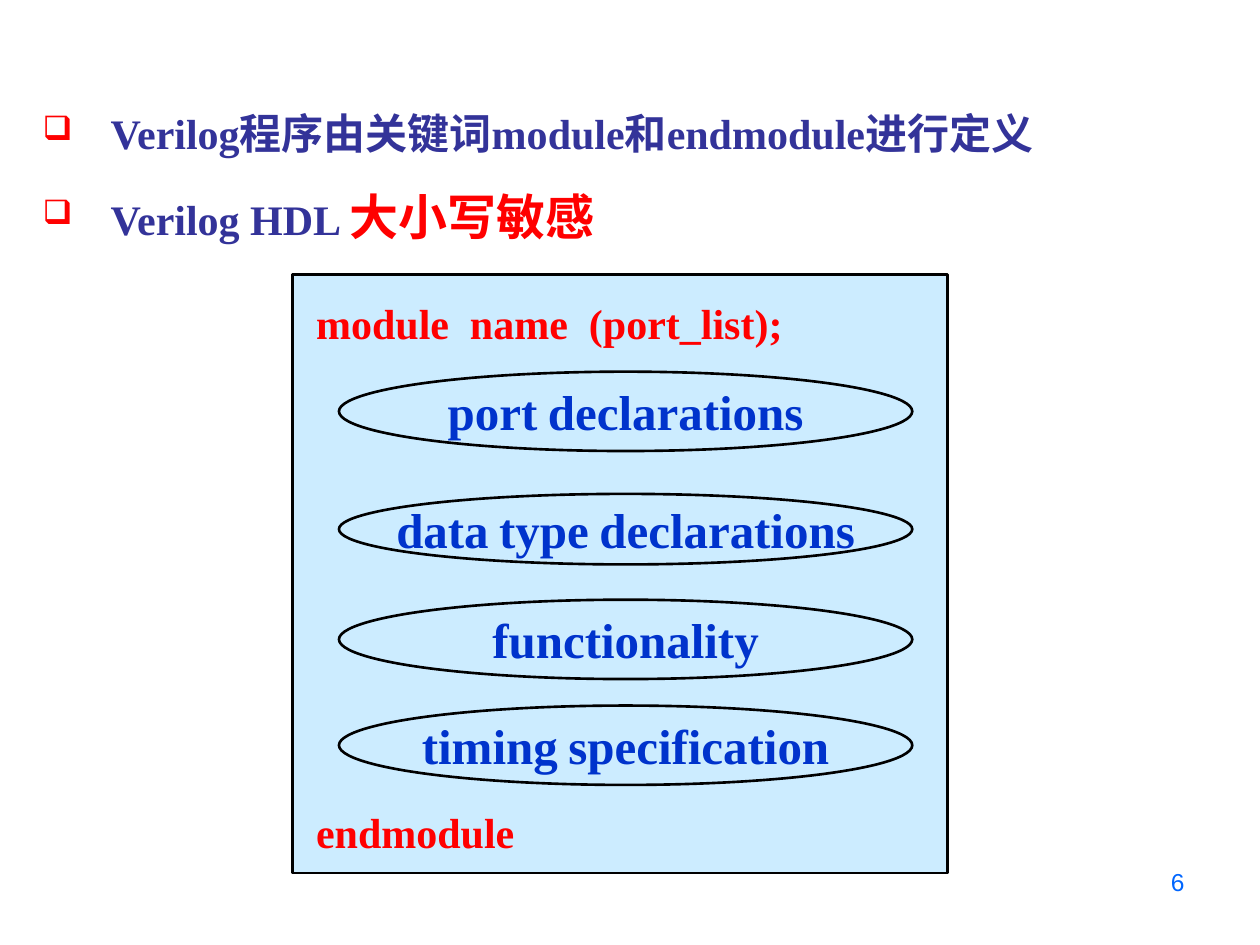
from lxml import etree
from pptx import Presentation
from pptx.dml.color import RGBColor
from pptx.enum import shapes, text
from pptx.oxml.ns import qn
from pptx.util import Inches, Pt

COLORS = {
    "panel": "CCECFF",
    "outline": "000000",
    "body": "333399",
    "accent": "FF0000",
    "part": "0033CC",
    "number": "0066FF",
}
SERIF = "Times New Roman"
ALIGN = text.PP_ALIGN

BULLETS = [
    [("Verilog程序由关键词module和endmodule进行定义", 24, "body")],
    [("Verilog HDL ", 24, "body"), ("大小写敏感", 28, "accent")],
]
# label, top, height
PARTS = [
    ("port declarations", 2.95, 0.63),
    ("data type declarations", 3.92, 0.56),
    ("functionality", 4.76, 0.63),
    ("timing specification", 5.6, 0.63),
]


def rgb(name):
    return RGBColor.from_string(COLORS[name])


def add_run(p, words, size, color, font=SERIF, bold=True):
    r = p.add_run()
    r.text = words
    values = {"name": font, "size": Pt(size), "bold": bold}
    for key, value in values.items():
        setattr(r.font, key, value)
    r.font.color.rgb = rgb(color)


def add_bullet(p):
    """Give the paragraph a hanging red box as its bullet."""
    pPr = p._p.get_or_add_pPr()
    pPr.set("marL", str(Inches(0.54)))
    pPr.set("indent", str(-Inches(0.54)))
    color = etree.SubElement(pPr, qn("a:buClr"))
    etree.SubElement(color, qn("a:srgbClr"), val=COLORS["accent"])
    etree.SubElement(pPr, qn("a:buSzPct"), val="80000")
    etree.SubElement(pPr, qn("a:buChar"), char="❑")


def add_text_box(slide, box):
    tf = slide.shapes.add_textbox(*map(Inches, box)).text_frame
    tf.word_wrap = True
    return tf


def add_bullet_list(slide, box):
    tf = add_text_box(slide, box)
    for i, runs in enumerate(BULLETS):
        p = tf.add_paragraph() if i else tf.paragraphs[0]
        p.line_spacing = 1.5
        p.alignment = ALIGN.JUSTIFY
        add_bullet(p)
        for run in runs:
            add_run(p, *run)


def add_panel_shape(group, kind, box, outlined=True):
    s = group.shapes.add_shape(kind, *map(Inches, box))
    s.shadow.inherit = False
    s.fill.solid()
    s.fill.fore_color.rgb = rgb("panel")
    if outlined:
        s.line.color.rgb = rgb("outline")
        s.line.width = Pt(1.5)
    else:
        s.line.fill.background()
    return s


def add_part(group, label, top, height):
    """Draw an ellipse whose words are larger than the spaces between them."""
    s = add_panel_shape(group, shapes.MSO_SHAPE.OVAL, (2.69, top, 4.55, height))
    tf = s.text_frame
    tf.word_wrap = False
    tf.vertical_anchor = text.MSO_ANCHOR.MIDDLE
    p = tf.paragraphs[0]
    p.alignment = ALIGN.CENTER
    for i, word in enumerate(label.split()):
        if i:
            add_run(p, " ", 24, "body")
        add_run(p, word, 28, "part")


def add_keyword_line(group, words, box):
    s = add_panel_shape(group, shapes.MSO_SHAPE.RECTANGLE, box, outlined=False)
    tf = s.text_frame
    tf.word_wrap = True
    tf.auto_size = text.MSO_AUTO_SIZE.SHAPE_TO_FIT_TEXT
    tf.vertical_anchor = text.MSO_ANCHOR.TOP
    p = tf.paragraphs[0]
    p.alignment = ALIGN.LEFT
    add_run(p, words, 24, "accent")


def add_module_diagram(slide):
    group = slide.shapes.add_group_shape()
    add_panel_shape(group, shapes.MSO_SHAPE.RECTANGLE, (2.32, 2.18, 5.2, 4.75))
    for part in PARTS:
        add_part(group, *part)
    add_keyword_line(group, "endmodule", (2.41, 6.35, 1.85, 0.5))
    add_keyword_line(group, "module  name  (port_list);", (2.41, 2.31, 4.09, 0.5))


def add_page_number(slide, number):
    p = add_text_box(slide, (7.17, 6.83, 2.33, 0.52)).paragraphs[0]
    p.alignment = ALIGN.RIGHT
    add_run(p, number, 14, "number", "Arial", False)


def main():
    prs = Presentation()
    prs.slide_width, prs.slide_height = Inches(10), Inches(7.5)
    slide = prs.slides.add_slide(prs.slide_layouts[6])
    add_bullet_list(slide, (0.24, 0.6, 9.53, 5.91))
    add_module_diagram(slide)
    add_page_number(slide, "6")
    prs.save("out.pptx")


if __name__ == "__main__":
    main()
